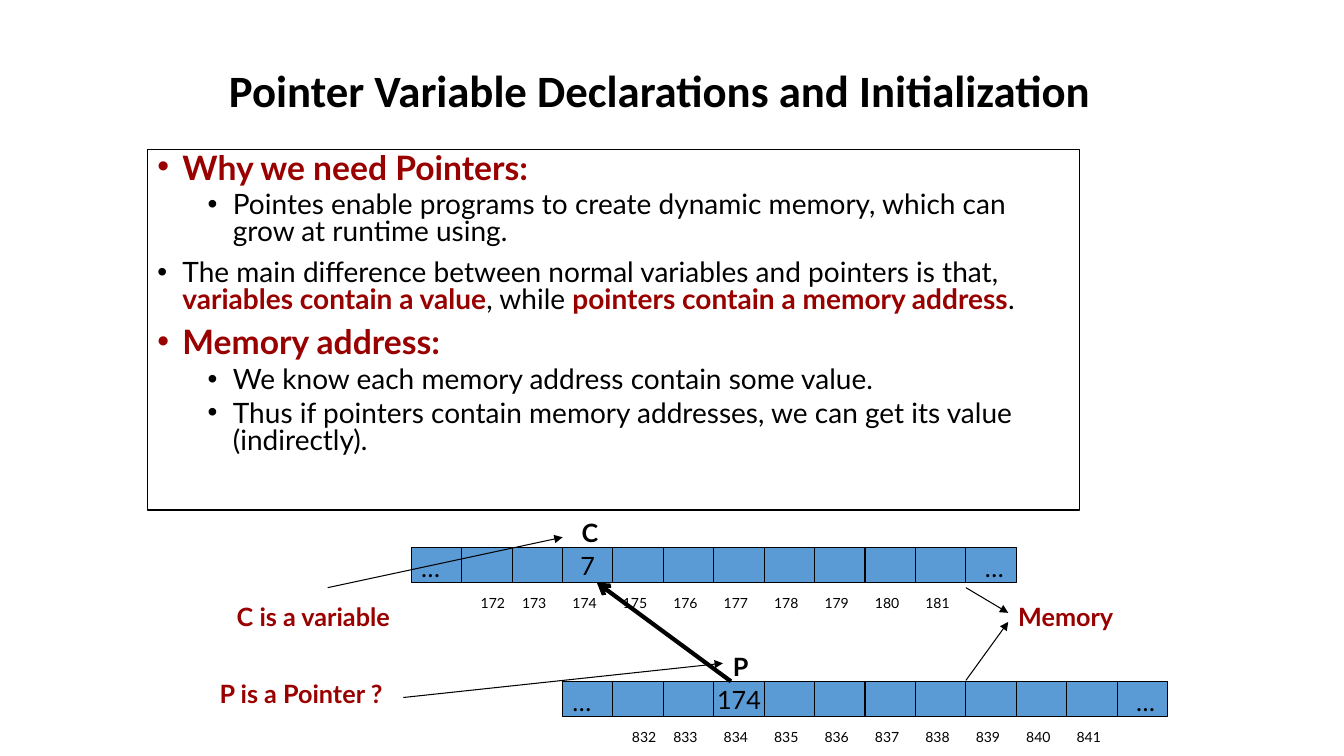
from dataclasses import dataclass

from lxml.etree import SubElement
from pptx import Presentation
from pptx.dml.color import RGBColor
from pptx.enum.shapes import MSO_CONNECTOR, MSO_SHAPE
from pptx.enum.text import MSO_ANCHOR, MSO_AUTO_SIZE, PP_ALIGN
from pptx.oxml.ns import qn
from pptx.util import Inches, Pt


@dataclass(frozen=True)
class Theme:
    black: str = "000000"
    white: str = "FFFFFF"
    red: str = "990000"
    cell: str = "5B9BD5"
    title_font: str = "Calibri"
    font: str = "Lato"
    title: int = 32
    heading: int = 24
    body: int = 20
    label: int = 18
    address: int = 10
    thin: float = 0.75
    thick: float = 3


THEME = Theme()

# Content
TITLE = "Pointer Variable Declarations and Initialization"
HEADING = {"size": THEME.heading, "color": THEME.red, "bold": True}
PLAIN = {"size": THEME.body}
STRONG = {"size": THEME.body, "color": THEME.red, "bold": True}
BULLETS = [  # level, runs
    (0, [("Why we need Pointers:", HEADING)]),
    (1, [("Pointes enable programs to create dynamic memory, which can grow at runtime using.", PLAIN)]),
    (0, [("The main difference between normal variables and pointers is that, ", PLAIN),
         ("variables contain a value", STRONG),
         (", while ", PLAIN),
         ("pointers contain a memory address", STRONG),
         (".", PLAIN)]),
    (0, [("Memory address:", HEADING)]),
    (1, [("We know each memory address contain some value.", PLAIN)]),
    (1, [("Thus if pointers contain memory addresses, we can get its value (indirectly).", PLAIN)]),
]
MEMORY_ROWS = [  # variable name, value, first address, left, top
    ("C", "7", 172, 4.08, 5.43),
    ("P", "174", 832, 5.58, 6.76),
]
CAPTIONS = [  # text, left, top, width
    ("C is a variable", 2.25, 5.92, 2),
    ("P is a Pointer ?", 2.08, 6.68, 2),
    ("Memory", 10, 5.92, 1.17),
]
ARROWS = [  # start, end, line width, head
    ((7.25, 6.76), (5.92, 5.78), THEME.thick, "arrow"),
    ((3.25, 5.83), (5.58, 5.33), THEME.thin, "triangle"),
    ((4, 6.92), (7.17, 6.58), THEME.thin, "triangle"),
    ((9.58, 5.83), (10, 6.08), THEME.thin, "triangle"),
    ((9.58, 6.75), (10, 6.17), THEME.thin, "triangle"),
]

# Memory row geometry
CELL_COUNT, VALUE_CELL, ADDRESS_COUNT = 12, 3, 10
CELL_WIDTH, CELL_HEIGHT = 0.5, 0.35
INDENT = 0.09
ADDRESS_DROP = 0.42


def rgb(color):
    return RGBColor.from_string(color)


def write(paragraph, text, size=THEME.label, color=THEME.black, bold=False, font=THEME.font):
    run = paragraph.add_run()
    run.text = text
    run.font.name, run.font.size, run.font.bold = font, Pt(size), bold
    run.font.color.rgb = rgb(color)


def place(shape, left, top, width, height):
    shape.left, shape.top = Inches(left), Inches(top)
    shape.width, shape.height = Inches(width), Inches(height)


def paint(shape, fill):
    shape.fill.solid()
    shape.fill.fore_color.rgb = rgb(fill)
    shape.line.color.rgb = rgb(THEME.black)
    shape.line.width = Pt(THEME.thin)


def add_label(slide, text, left, top, width, height=0.4, **style):
    label = slide.shapes.add_textbox(Inches(left), Inches(top), Inches(width), Inches(height))
    label.text_frame.word_wrap = True
    label.text_frame.auto_size = MSO_AUTO_SIZE.SHAPE_TO_FIT_TEXT
    write(label.text_frame.paragraphs[0], text, **style)


def add_title(slide):
    title = slide.shapes.title
    place(title, 2.17, 0.42, 9.25, 1)
    frame = title.text_frame
    frame.vertical_anchor, frame.auto_size = MSO_ANCHOR.MIDDLE, MSO_AUTO_SIZE.NONE
    heading = frame.paragraphs[0]
    heading.alignment, heading.line_spacing = PP_ALIGN.LEFT, 0.9
    write(heading, TITLE, size=THEME.title, bold=True, font=THEME.title_font)


def add_bullets(slide):
    body = slide.placeholders[1]
    place(body, 1.46, 1.48, 9.25, 3.58)
    paint(body, THEME.white)
    frame = body.text_frame
    frame.auto_size = MSO_AUTO_SIZE.NONE
    for index, (level, runs) in enumerate(BULLETS):
        item = frame.add_paragraph() if index else frame.paragraphs[0]
        item.level, item.line_spacing = level, 0.8
        item.space_before = Pt((5 if level else 10) if index else 0)
        properties = item._p.get_or_add_pPr()
        properties.set("marL", str(Inches(0.25 + 0.5 * level)))
        properties.set("indent", str(Inches(-0.25)))
        SubElement(properties, qn("a:buFont")).set("typeface", "Arial")
        SubElement(properties, qn("a:buChar")).set("char", "•")
        for text, style in runs:
            write(item, text, **style)


def add_memory_row(slide, name, value, first_address, left, top):
    lefts = [left + CELL_WIDTH * index for index in range(CELL_COUNT)]
    for index, cell_left in enumerate(lefts):
        cell = slide.shapes.add_shape(MSO_SHAPE.RECTANGLE, Inches(cell_left), Inches(top),
                                      Inches(CELL_WIDTH), Inches(CELL_HEIGHT))
        cell.shadow.inherit = False
        paint(cell, THEME.cell)
        if index == VALUE_CELL:
            frame = cell.text_frame
            frame.word_wrap, frame.vertical_anchor = False, MSO_ANCHOR.MIDDLE
            frame.paragraphs[0].alignment = PP_ALIGN.CENTER
            write(frame.paragraphs[0], value)

    # Variable name and the dots at both ends
    add_label(slide, name, lefts[VALUE_CELL] + INDENT, top - CELL_HEIGHT, 0.33, bold=True)
    add_label(slide, "…", lefts[0], top, 0.33)
    add_label(slide, "…", lefts[-1] + INDENT, top, 0.33)

    # Addresses; the first one is indented
    for offset in range(ADDRESS_COUNT):
        address_left = lefts[offset + 1] + (0 if offset else INDENT)
        add_label(slide, str(first_address + offset), address_left, top + ADDRESS_DROP,
                  CELL_WIDTH, 0.27, size=THEME.address)


def add_arrow(slide, start, end, width, head):
    arrow = slide.shapes.add_connector(MSO_CONNECTOR.STRAIGHT, *map(Inches, start + end))
    arrow.line.color.rgb = rgb(THEME.black)
    arrow.line.width = Pt(width)
    SubElement(arrow.line._get_or_add_ln(), qn("a:tailEnd")).set("type", head)
    SubElement(arrow._element.spPr, qn("a:effectLst"))


def main():
    deck = Presentation()
    deck.slide_width, deck.slide_height = Inches(13.33), Inches(7.5)
    slide = deck.slides.add_slide(deck.slide_layouts[1])
    add_title(slide)
    add_bullets(slide)
    for row in MEMORY_ROWS:
        add_memory_row(slide, *row)
    for arrow in ARROWS:
        add_arrow(slide, *arrow)
    for caption in CAPTIONS:
        add_label(slide, *caption, color=THEME.red, bold=True)
    deck.save("out.pptx")


if __name__ == "__main__":
    main()
